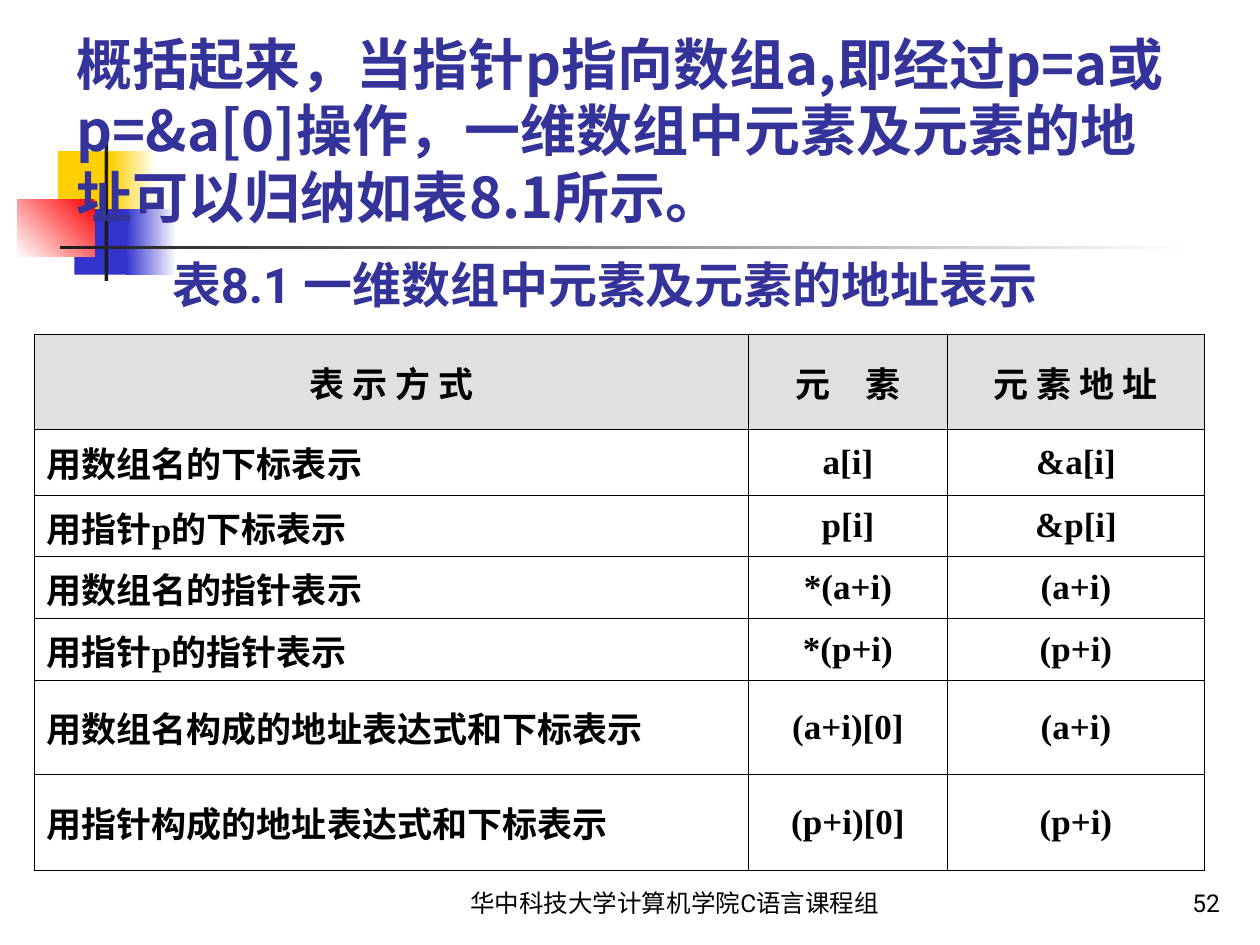
import pptx
import pptx.dml.color
import pptx.enum.shapes
import pptx.enum.text
import pptx.oxml
import pptx.oxml.ns
import pptx.util

ALIGN = pptx.enum.text.PP_ALIGN
ANCHOR = pptx.enum.text.MSO_ANCHOR
EAST_ASIAN = "Noto Sans CJK SC"
INK, YELLOW, BLUE, RED, WHITE = "1C1C1C", "FFCF01", "3333CC", "FF0000", "FFFFFF"
HEADING, BLACK, HEADER_FILL = "333399", "000000", "E0E0E0"

BLOCKS = [
    ((4.6, 12, 4.8, 5.2), [YELLOW], 0),
    ((8.8, 12, 3.6, 5.2), [WHITE, YELLOW], 180),
    ((5.9, 16.6, 4.6, 5.2), [BLUE], 0),
    ((10, 16.6, 4, 5.2), [WHITE, BLUE], 180),
    ((1.4, 15.8, 6.1, 4.6), [RED, WHITE], 225),
    ((8.3, 10.8, 0.3, 11.5), [INK], 0),
    ((4.8, 19.5, 90, 0.3), [WHITE, INK], 180),
]
COLUMNS = [56.7, 15.8, 20.4]
ROWS = [7.6, 5.2, 4.9, 4.9, 4.9, 7.5, 7.6]
CELLS = [
    ("表 示 方 式", "元　素", "元 素 地 址"),
    ("用数组名的下标表示", "a[i]", "&a[i]"),
    ("用指针p的下标表示", "p[i]", "&p[i]"),
    ("用数组名的指针表示", "*(a+i)", "(a+i)"),
    ("用指针p的指针表示", "*(p+i)", "(p+i)"),
    ("用数组名构成的地址表达式和下标表示", "(a+i)[0]", "(a+i)"),
    ("用指针构成的地址表达式和下标表示", "(p+i)[0]", "(p+i)"),
]


def color(value):
    """Turn a hex string into a colour."""
    return pptx.dml.color.RGBColor.from_string(value)


def write(frame, text, size=20, font="Times New Roman", ink=BLACK, bold=False,
          align=ALIGN.LEFT, spacing=None, before=0, hanging=0):
    """Write one formatted paragraph into a text frame."""
    paragraph = frame.paragraphs[0]
    paragraph.alignment = align
    paragraph.space_before = pptx.util.Pt(before)
    if spacing:
        paragraph.line_spacing = spacing
    if hanging:
        properties = paragraph._p.get_or_add_pPr()
        properties.set("marL", str(pptx.util.Inches(hanging)))
        properties.set("indent", str(-pptx.util.Inches(hanging)))
    run = paragraph.add_run()
    run.text = text
    run.font.size = pptx.util.Pt(size)
    run.font.name = font
    run.font.bold = bold
    run.font.color.rgb = color(ink)
    east_asian = pptx.oxml.parse_xml(
        f'<a:ea {pptx.oxml.ns.nsdecls("a")} typeface="{EAST_ASIAN}"/>')
    run.font._element.find(pptx.oxml.ns.qn("a:latin")).addnext(east_asian)


class Board:
    """Hold the style and the current slide on a grid of 100 columns by 75 rows."""

    def __init__(self, presentation):
        """Start a title-only slide."""
        self.column = presentation.slide_width / 100
        self.row = presentation.slide_height / 75
        self.slide = presentation.slides.add_slide(presentation.slide_layouts[5])
        self.shapes = self.slide.shapes

    def box(self, left, top, width, height):
        """Convert grid units to slide lengths."""
        return (round(left * self.column), round(top * self.row),
                round(width * self.column), round(height * self.row))

    def block(self, place, colors, angle):
        """Draw a rectangle in one colour or a gradient of two."""
        shape = self.shapes.add_shape(
            pptx.enum.shapes.MSO_SHAPE.RECTANGLE, *self.box(*place))
        shape.shadow.inherit = False
        shape.line.fill.background()
        if len(colors) == 1:
            shape.fill.solid()
            shape.fill.fore_color.rgb = color(colors[0])
            return
        shape.fill.gradient()
        shape.fill.gradient_angle = angle
        for stop, value, position in zip(shape.fill.gradient_stops, colors, (0, 1)):
            stop.color.rgb = color(value)
            stop.position = position

    def title(self, place, text, **style):
        """Place the title in front of the blocks."""
        shape = self.shapes.title
        shape.left, shape.top, shape.width, shape.height = self.box(*place)
        self.shapes.element.append(shape.element)
        frame = shape.text_frame
        frame.word_wrap = True
        frame.auto_size = pptx.enum.text.MSO_AUTO_SIZE.NONE
        frame.vertical_anchor = ANCHOR.BOTTOM
        frame.margin_bottom = pptx.util.Inches(0.01)
        write(frame, text, **style)

    def text(self, place, text, anchor=ANCHOR.BOTTOM, **style):
        """Add a wrapped text box."""
        frame = self.shapes.add_textbox(*self.box(*place)).text_frame
        frame.word_wrap = True
        frame.vertical_anchor = anchor
        write(frame, text, **style)

    def table(self, left, top, columns, rows, cells):
        """Add a ruled table with a shaded header row."""
        place = self.box(left, top, sum(columns), sum(rows))
        table = self.shapes.add_table(len(rows), len(columns), *place).table
        table.first_row = table.horz_banding = False
        for column, width in zip(table.columns, columns):
            column.width = round(width * self.column)
        for row, height in zip(table.rows, rows):
            row.height = round(height * self.row)
        for row_index, texts in enumerate(cells):
            for column_index, text in enumerate(texts):
                cell = table.cell(row_index, column_index)
                is_label = row_index > 0 and column_index == 0
                cell.vertical_anchor = ANCHOR.MIDDLE
                self.rule(cell)
                if row_index == 0:
                    cell.fill.solid()
                    cell.fill.fore_color.rgb = color(HEADER_FILL)
                else:
                    cell.fill.background()
                write(cell.text_frame, text, bold=True, hanging=0.38,
                      align=ALIGN.LEFT if is_label else ALIGN.CENTER)

    def rule(self, cell):
        """Give a cell thin black borders on every side."""
        properties = cell._tc.get_or_add_tcPr()
        for side in ("lnL", "lnR", "lnT", "lnB"):
            properties.append(pptx.oxml.parse_xml(
                f'<a:{side} {pptx.oxml.ns.nsdecls("a")} w="{pptx.util.Pt(0.45)}">'
                f'<a:solidFill><a:srgbClr val="{BLACK}"/></a:solidFill></a:{side}>'))


def main():
    """Build the slide and save it."""
    presentation = pptx.Presentation()
    presentation.slide_width = pptx.util.Inches(10)
    presentation.slide_height = pptx.util.Inches(7.5)
    board = Board(presentation)
    for place, colors, angle in BLOCKS:
        board.block(place, colors, angle)
    board.title(
        (5.1, 2.3, 90.6, 16),
        "概括起来，当指针p指向数组a,即经过p=a或p=&a[0]操作，"
        "一维数组中元素及元素的地址可以归纳如表8.1所示。",
        size=32, font=EAST_ASIAN, ink=HEADING, bold=True, spacing=pptx.util.Pt(38))
    board.text((3.5, 20.2, 89, 5.5), "表8.1 一维数组中元素及元素的地址表示",
               anchor=ANCHOR.TOP, size=28, font="Roboto", ink=HEADING, bold=True,
               align=ALIGN.CENTER, spacing=0.9, before=7, hanging=0.38)
    board.table(2.7, 26.5, COLUMNS, ROWS, CELLS)
    board.text((31.9, 68.3, 43.3, 5), "华中科技大学计算机学院C语言课程组",
               size=14, font="Roboto", align=ALIGN.CENTER)
    board.text((77, 68.3, 20.8, 5), "52", size=14, font="Roboto", align=ALIGN.RIGHT)
    presentation.save("out.pptx")


if __name__ == "__main__":
    main()
